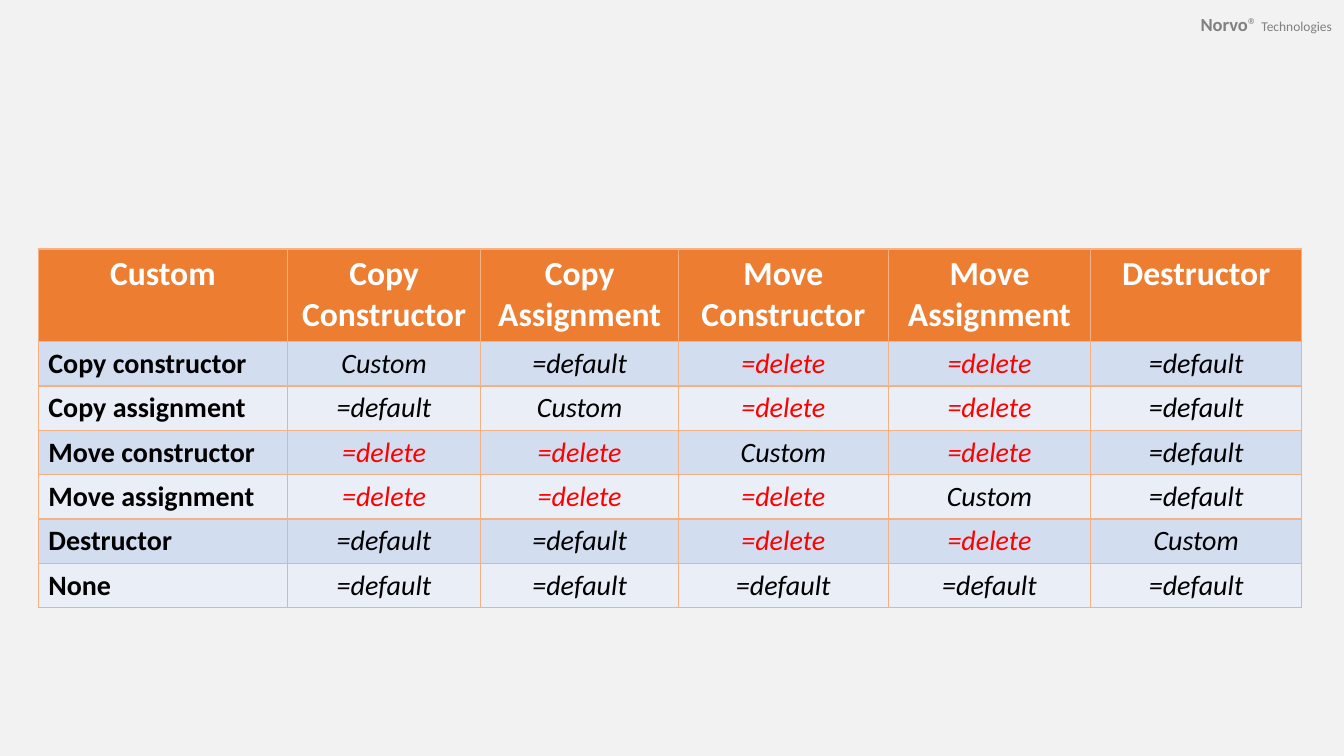
from pptx import Presentation
from pptx.dml.color import RGBColor
from pptx.enum.text import MSO_ANCHOR as Anchor, PP_ALIGN as Align
from pptx.oxml import parse_xml
from pptx.oxml.ns import nsdecls, qn
from pptx.util import Inches, Pt

HEADER = ["Custom", "Copy Constructor", "Copy Assignment",
          "Move Constructor", "Move Assignment", "Destructor"]
MEMBERS = {
    "Copy constructor": "Custom =default =delete =delete =default",
    "Copy assignment": "=default Custom =delete =delete =default",
    "Move constructor": "=delete =delete Custom =delete =default",
    "Move assignment": "=delete =delete =delete Custom =default",
    "Destructor": "=default =default =delete =delete Custom",
    "None": "=default =default =default =default =default",
}
COLUMN_WIDTHS = [2.47, 1.92, 1.96, 2.08, 2.01, 2.09]
ROW_HEIGHTS = [0.92] + [0.44] * len(MEMBERS)
BANDS = ["EAEFF7", "D2DEEF"]


def color(value):
    return RGBColor.from_string(value)


def write(para, text, size=20, ink="000000", bold=False, italic=False, align=Align.LEFT):
    para.alignment = align
    span = para.add_run()
    span.text = text
    font = span.font
    font.name, font.size, font.bold, font.italic = "Calibri", Pt(size), bold, italic
    font.color.rgb = color(ink)
    return span


deck = Presentation()
deck.slide_width, deck.slide_height = Inches(13.33), Inches(7.5)
page = deck.slides.add_slide(deck.slide_layouts[6])
page.background.fill.solid()
page.background.fill.fore_color.rgb = color("F2F2F2")

label = page.shapes.add_textbox(Inches(11.41), Inches(0.01), Inches(1.92), Inches(0.45))
frame = label.text_frame
frame.word_wrap = True
frame.vertical_anchor = Anchor.MIDDLE
frame.margin_left = frame.margin_right = Inches(0.12)
frame.margin_top = frame.margin_bottom = Inches(0.06)
for text, size, bold in [("Norvo", 13.2, True), ("® ", 13.2, False), ("Technologies", 9.6, False)]:
    span = write(frame.paragraphs[0], text, size=size, ink="808080", bold=bold, align=Align.RIGHT)
    shadow = parse_xml(
        f'<a:effectLst {nsdecls("a")}><a:outerShdw blurRad="38100" dist="38100" dir="2700000">'
        '<a:srgbClr val="000000"><a:alpha val="43000"/></a:srgbClr></a:outerShdw></a:effectLst>')
    span.font._element.find(qn("a:solidFill")).addnext(shadow)

rows = [HEADER] + [[name] + rules.split() for name, rules in MEMBERS.items()]
table = page.shapes.add_table(
    len(rows), len(HEADER), Inches(0.38), Inches(2.47),
    Inches(sum(COLUMN_WIDTHS)), Inches(sum(ROW_HEIGHTS))).table
for column, width in zip(table.columns, COLUMN_WIDTHS):
    column.width = Inches(width)
for row, height in zip(table.rows, ROW_HEIGHTS):
    row.height = Inches(height)

for row_index, row in enumerate(rows):
    for column_index, text in enumerate(row):
        cell = table.cell(row_index, column_index)
        para = cell.text_frame.paragraphs[0]
        properties = cell._tc.get_or_add_tcPr()
        for side in "LRTB":
            properties.append(parse_xml(
                f'<a:ln{side} {nsdecls("a")} w="12700"><a:solidFill>'
                f'<a:srgbClr val="F4B183"/></a:solidFill></a:ln{side}>'))
        cell.fill.solid()
        cell.fill.fore_color.rgb = color(BANDS[row_index % 2] if row_index else "ED7D31")
        if row_index == 0:
            write(para, text, size=24, ink="FFFFFF", bold=True, align=Align.CENTER)
        elif column_index == 0:
            write(para, text, bold=True)
        else:
            ink = "FF0000" if text == "=delete" else "000000"
            write(para, text, ink=ink, italic=True, align=Align.CENTER)

deck.save("out.pptx")
